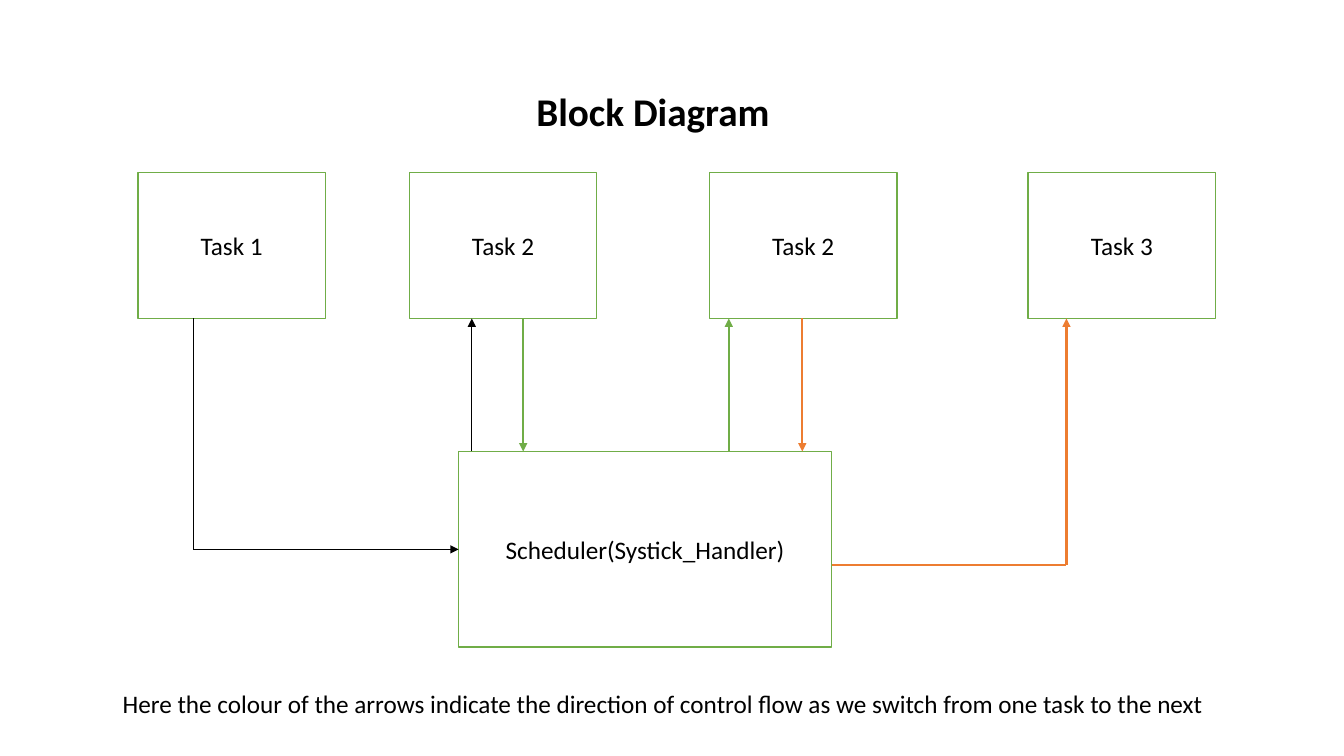
from typing import NamedTuple, Optional
from lxml.etree import SubElement
from pptx import Presentation
from pptx.dml.color import RGBColor as Rgb
from pptx.enum.shapes import MSO_CONNECTOR as Conn, MSO_SHAPE as Form
from pptx.enum.text import MSO_ANCHOR as Anchor, PP_ALIGN as Align
from pptx.oxml.ns import qn
from pptx.util import Pt

HUES = {"black": "000000", "white": "FFFFFF", "green": "70AD47", "orange": "ED7D31"}


class Box(NamedTuple):
    text: str
    left: float
    top: float
    wide: float
    high: float


class Flow(NamedTuple):
    start: tuple[float, float]
    end: tuple[float, float]
    hue: str
    width: float = 1.5
    head: bool = True
    side: Optional[int] = None


TOP, WIDE, HIGH = 123.1, 133.9, 104.4
BASE = TOP + HIGH
TASKS = [
    Box(name, left, TOP, WIDE, HIGH)
    for name, left in [("Task 1", 98.6), ("Task 2", 292.4), ("Task 2", 506.8), ("Task 3", 734.4)]
]
HUB = Box("Scheduler(Systick_Handler)", 327.6, 322.5, 266.4, 139.8)
MID = HUB.top + HUB.high / 2
EXIT = 403.9
RIGHT = HUB.left + HUB.wide
TITLE = Box("Block Diagram", 66.4, 28.8, 800, 104.4)
NOTE = Box(
    "Here the colour of the arrows indicate the direction of control flow "
    "as we switch from one task to the next",
    80.6, 488.4, 851.8, 29,
)
FLOWS = [
    Flow((138.2, BASE), (138.2, MID), "black", 0.5, False),
    Flow((138.2, MID), (HUB.left, MID), "black", 0.5, side=1),
    Flow((337, HUB.top), (337, BASE), "black", 0.5),
    Flow((373.7, BASE), (373.7, HUB.top), "green"),
    Flow((520.6, HUB.top), (520.6, BASE), "green"),
    Flow((761.8, EXIT), (761.8, BASE), "orange"),
    Flow((RIGHT, EXIT), (761.8, EXIT), "orange", head=False),
    Flow((573.1, BASE), (573.1, HUB.top), "orange"),
]


def tint(name: str) -> Rgb:
    return Rgb.from_string(HUES[name])


def write(shape, text: str, *, size: float = 18, bold: bool = False,
          align=Align.CENTER, anchor=Anchor.MIDDLE, lead: float = 1.0) -> None:
    frame = shape.text_frame
    frame.word_wrap = True
    frame.vertical_anchor = anchor
    para = frame.paragraphs[0]
    para.alignment = align
    para.line_spacing = lead
    run = para.add_run()
    run.text = text
    run.font.name = "Calibri"
    run.font.size = Pt(size)
    run.font.bold = bold
    run.font.color.rgb = tint("black")


def area(box: Box) -> list[Pt]:
    return [Pt(size) for size in box[1:]]


def draw_box(slide, box: Box):
    shape = slide.shapes.add_shape(Form.RECTANGLE, *area(box))
    shape.shadow.inherit = False
    shape.fill.solid()
    shape.fill.fore_color.rgb = tint("white")
    shape.line.color.rgb = tint("green")
    shape.line.width = Pt(1)
    write(shape, box.text)
    return shape


def draw_flow(slide, flow: Flow, hub) -> None:
    ends = [Pt(value) for value in flow.start + flow.end]
    wire = slide.shapes.add_connector(Conn.STRAIGHT, *ends)
    if flow.side is not None:
        wire.end_connect(hub, flow.side)
    wire.line.color.rgb = tint(flow.hue)
    wire.line.width = Pt(flow.width)
    props = wire.element.spPr
    if flow.head:
        SubElement(props.find(qn("a:ln")), qn("a:tailEnd"), type="triangle")
    SubElement(props, qn("a:effectLst"))


def main() -> None:
    deck = Presentation()
    deck.slide_width, deck.slide_height = Pt(960), Pt(540)
    slide = deck.slides.add_slide(deck.slide_layouts[6])
    title = slide.shapes.add_textbox(*area(TITLE))
    write(title, TITLE.text, size=28, bold=True, lead=0.9)
    for task in TASKS:
        draw_box(slide, task)
    hub = draw_box(slide, HUB)
    for flow in FLOWS:
        draw_flow(slide, flow, hub)
    note = slide.shapes.add_textbox(*area(NOTE))
    write(note, NOTE.text, align=Align.LEFT, anchor=Anchor.TOP)
    deck.save("out.pptx")


if __name__ == "__main__":
    main()
